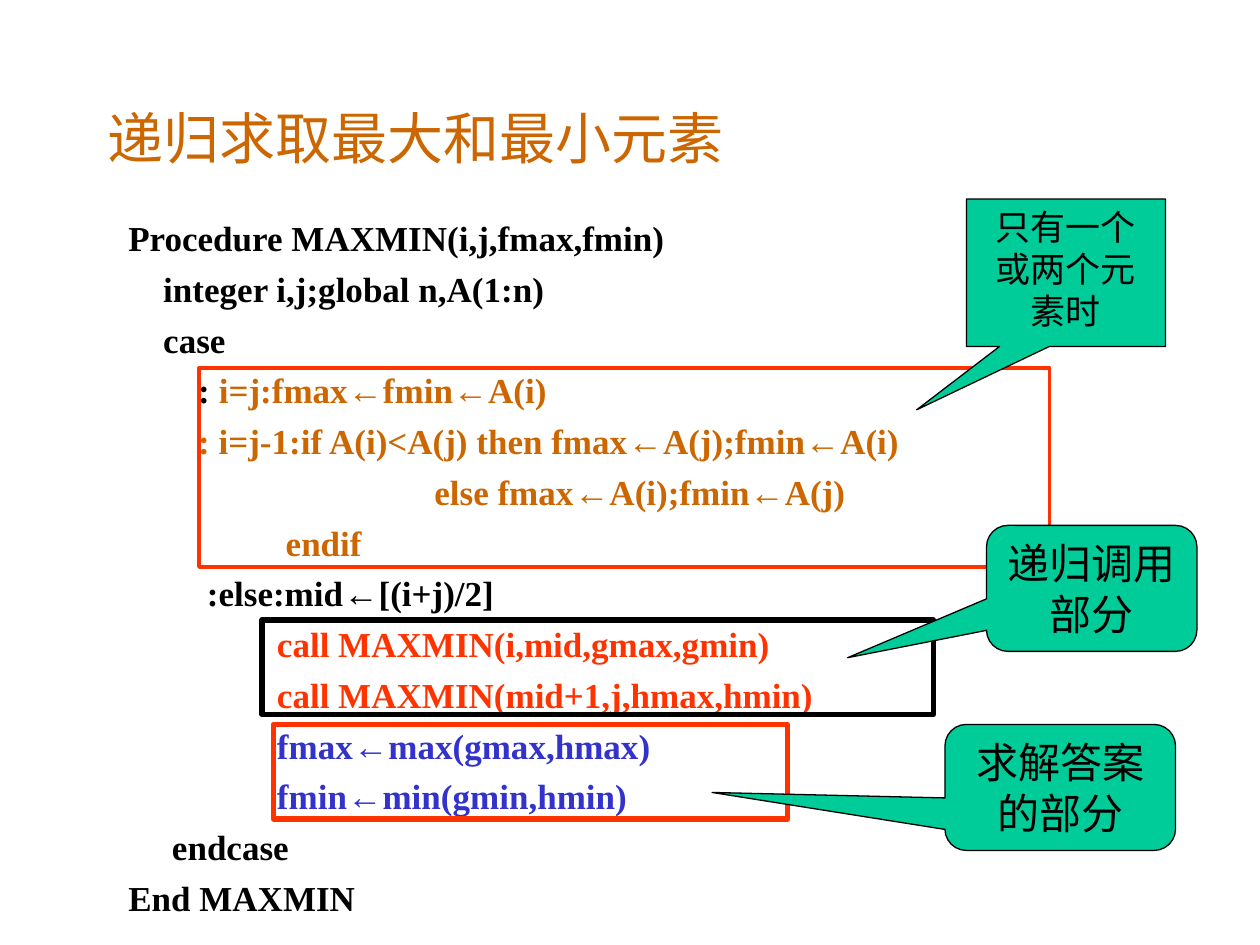
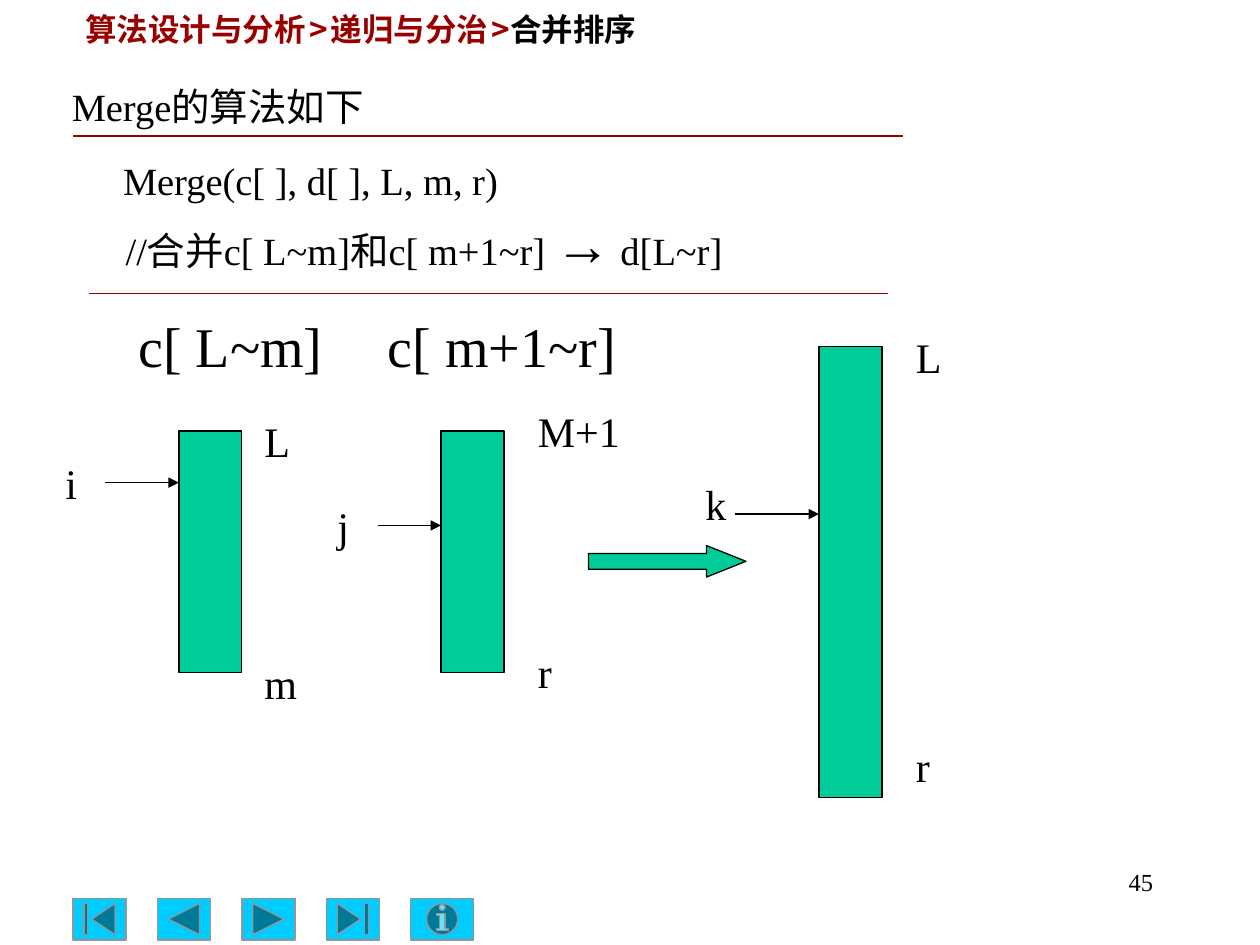
from itertools import groupby

from lxml.etree import SubElement
from pptx import Presentation
from pptx.dml.color import RGBColor
from pptx.enum.shapes import MSO_CONNECTOR, MSO_SHAPE
from pptx.enum.text import MSO_ANCHOR, MSO_AUTO_SIZE, PP_ALIGN
from pptx.oxml.ns import qn
from pptx.util import Inches, Pt

BLACK = RGBColor(0x00, 0x00, 0x00)
ORANGE = RGBColor(0xCC, 0x66, 0x00)
RED = RGBColor(0xFF, 0x33, 0x00)
BLUE = RGBColor(0x33, 0x33, 0xCC)
GREEN = RGBColor(0x00, 0xCC, 0x99)
CRIMSON = RGBColor(0x99, 0x00, 0x00)
CYAN = RGBColor(0x00, 0xCC, 0xFF)
GRAY = RGBColor(0x96, 0x96, 0x96)

SERIF = "Times New Roman"
CJK = "Noto Sans CJK SC"
ARROW_FONT = "Arial"
CALLOUT_FONT = "Cabin"


def add_run(paragraph, text, size=24, color=BLACK, font=SERIF, bold=False):
    run = paragraph.add_run()
    run.text = text
    run.font.size = Pt(size)
    run.font.bold = bold
    run.font.color.rgb = color
    run.font.name = font
    SubElement(run._r.get_or_add_rPr(), qn("a:ea")).set("typeface", CJK)


def write(frame, lines, align=PP_ALIGN.LEFT, anchor=MSO_ANCHOR.TOP, wrap=True,
          before=0, spacing=None, arrow_size=None, **style):
    frame.word_wrap = wrap
    frame.auto_size = MSO_AUTO_SIZE.NONE
    frame.vertical_anchor = anchor
    for number, line in enumerate(lines):
        paragraph = frame.add_paragraph() if number else frame.paragraphs[0]
        paragraph.alignment = align
        paragraph.space_before = Pt(before if number else 0)
        if spacing:
            paragraph.line_spacing = spacing
        for text, changes in [(line, {})] if isinstance(line, str) else line:
            for is_arrow, letters in groupby(text, lambda letter: letter in "←→"):
                run_style = {**style, **changes}
                if is_arrow:
                    run_style["font"] = ARROW_FONT
                    run_style["size"] = arrow_size or run_style["size"]
                add_run(paragraph, "".join(letters), **run_style)


class Deck:
    """Hold the shared style and the current slide, and draw its elements."""

    def __init__(self):
        self.presentation = Presentation()
        self.presentation.slide_width = Inches(10)
        self.presentation.slide_height = Inches(7.5)
        self.slide = None

    def start(self, title, place, **style):
        layout = self.presentation.slide_layouts.get_by_name("Title Only")
        self.slide = self.presentation.slides.add_slide(layout)
        heading = self.slide.shapes.title
        heading.left, heading.top, heading.width, heading.height = map(Inches, place)
        write(heading.text_frame, [title], anchor=MSO_ANCHOR.MIDDLE, **style)

    def text(self, place, lines, **style):
        box = self.slide.shapes.add_textbox(*map(Inches, place))
        write(box.text_frame, lines, **style)

    def shape(self, preset, place, fill=GREEN, line=BLACK, weight=0.75, adjust=()):
        shape = self.slide.shapes.add_shape(preset, *map(Inches, place))
        shape.shadow.inherit = False
        if fill is None:
            shape.fill.background()
        else:
            shape.fill.solid()
            shape.fill.fore_color.rgb = fill
        shape.line.color.rgb = line
        shape.line.width = Pt(weight)
        for index, value in enumerate(adjust):
            shape.adjustments[index] = value
        return shape

    def frame(self, place, color, weight):
        self.shape(MSO_SHAPE.RECTANGLE, place, None, color, weight)

    def callout(self, preset, place, adjust, text, size):
        callout = self.shape(preset, place, adjust=adjust)
        write(callout.text_frame, [text], align=PP_ALIGN.CENTER,
              size=size, font=CALLOUT_FONT)

    def line(self, left, right, y, color=BLACK, arrow=False):
        connector = self.slide.shapes.add_connector(
            MSO_CONNECTOR.STRAIGHT, Inches(left), Inches(y), Inches(right), Inches(y))
        connector.line.color.rgb = color
        connector.line.width = Pt(0.75)
        properties = connector.element.spPr
        if arrow:
            SubElement(properties.find(qn("a:ln")), qn("a:tailEnd")).set("type", "triangle")
        SubElement(properties, qn("a:effectLst"))

    def save(self):
        self.presentation.save("out.pptx")


def build_maxmin(deck):
    deck.start("递归求取最大和最小元素", (0.75, 0.67, 8.5, 0.83), size=32, color=ORANGE)
    orange, red, blue = ({"color": color} for color in (ORANGE, RED, BLUE))
    procedure = [
        "Procedure MAXMIN(i,j,fmax,fmin)",
        "    integer i,j;global n,A(1:n)",
        "    case",
        [("        : ", {}), ("i=j:fmax←fmin←A(i)", orange)],
        [("        : i=j-1:if A(i)<A(j) then fmax←A(j);fmin←A(i)", orange)],
        [("                                   else fmax←A(i);fmin←A(j)", orange)],
        [("                  endif", orange)],
        "         :else:mid←[(i+j)/2]",
        [("                 call MAXMIN(i,mid,gmax,gmin)", red)],
        [("                 call MAXMIN(mid+1,j,hmax,hmin)", red)],
        [("                 fmax←max(gmax,hmax)", blue)],
        [("                 fmin←min(gmin,hmin)", blue)],
        "     endcase",
        "End MAXMIN",
    ]
    deck.text((0.92, 1.67, 8.5, 5.83), procedure, size=20, bold=True, before=5)

    deck.frame((1.58, 2.92, 6.75, 1.58), RED, 2.25)
    deck.frame((2.08, 4.92, 5.33, 0.75), BLACK, 3)
    deck.frame((2.17, 5.75, 4.08, 0.75), RED, 3)

    rounded = MSO_SHAPE.ROUNDED_RECTANGULAR_CALLOUT
    deck.callout(MSO_SHAPE.RECTANGULAR_CALLOUT, (7.67, 1.58, 1.58, 1.17),
                 (-0.75, 0.93), "只有一个或两个元素时", 20)
    deck.callout(rounded, (7.83, 4.17, 1.67, 1), (-1.16, 0.55, 0.17), "递归调用部分", 24)
    deck.callout(rounded, (7.5, 5.75, 1.83, 1), (-1.51, 0.04, 0.17), "求解答案的部分", 24)


def build_merge(deck):
    deck.start("Merge的算法如下", (0.47, 0.46, 2.59, 0.62), size=22, spacing=1.4, wrap=False)
    gap = (" ", {"size": 8})
    deck.text((0.58, 0, 5.83, 0.43),
              [[("算法设计与分析", {}), gap, (">", {}), gap, ("递归与分治", {}), gap, (">", {}),
                ("合并排序", {"font": SERIF, "color": BLACK})]],
              size=18, font=CJK, color=CRIMSON, bold=True, spacing=1.1)
    deck.text((0.67, 1.16, 5.5, 1.09),
              [[("   ", {"size": 20}), ("Merge(c[ ], d[ ], L, m, r)", {})],
               "   //合并c[ L~m]和c[ m+1~r] → d[L~r]"],
              size=22, arrow_size=32, spacing=1.1, anchor=MSO_ANCHOR.MIDDLE)
    deck.line(0.58, 7.17, 1.08, CRIMSON)
    deck.line(0.71, 7.05, 2.33, CRIMSON)

    for left, top, height in ((1.42, 3.42, 1.92), (3.5, 3.42, 1.92), (6.5, 2.75, 3.58)):
        deck.shape(MSO_SHAPE.RECTANGLE, (left, top, 0.5, height))
    deck.shape(MSO_SHAPE.RIGHT_ARROW, (4.67, 4.33, 1.25, 0.25), adjust=(0.5, 1.25))
    for left, width, segment in ((1, 1.8, "c[ L~m]"), (2.98, 2.23, "c[ m+1~r]")):
        deck.text((left, 2.42, width, 0.64), [segment], size=32, wrap=False)
    for left, right, y in ((0.83, 1.42, 3.83), (3, 3.5, 4.17), (5.83, 6.5, 4.08)):
        deck.line(left, right, y, arrow=True)

    index_labels = (
        ("i", 0.42, 3.58, 0.42), ("j", 2.58, 3.92, 0.33), ("k", 5.5, 3.75, 0.33),
        ("L", 2, 3.25, 0.42), ("m", 2, 5.17, 0.42),
        ("M+1", 4.17, 3.17, 0.92), ("r", 4.17, 5.08, 0.5),
        ("L", 7.17, 2.58, 0.58), ("r", 7.17, 5.83, 0.5),
    )
    for label, left, top, width in index_labels:
        deck.text((left, top, width, 0.5), [label], size=24)

    navigation = (
        (MSO_SHAPE.ACTION_BUTTON_BEGINNING, 0.42),
        (MSO_SHAPE.ACTION_BUTTON_BACK_OR_PREVIOUS, 0.42),
        (MSO_SHAPE.ACTION_BUTTON_FORWARD_OR_NEXT, 0.42),
        (MSO_SHAPE.ACTION_BUTTON_END, 0.42),
        (MSO_SHAPE.ACTION_BUTTON_INFORMATION, 0.5),
    )
    for position, (button, width) in enumerate(navigation):
        deck.shape(button, (0.58 + position * 0.67, 7.13, width, 0.33), CYAN, GRAY)
    deck.text((7.17, 6.83, 2.08, 0.5), ["45"], size=14, align=PP_ALIGN.RIGHT)


def main():
    deck = Deck()
    build_maxmin(deck)
    build_merge(deck)
    deck.save()


if __name__ == "__main__":
    main()
